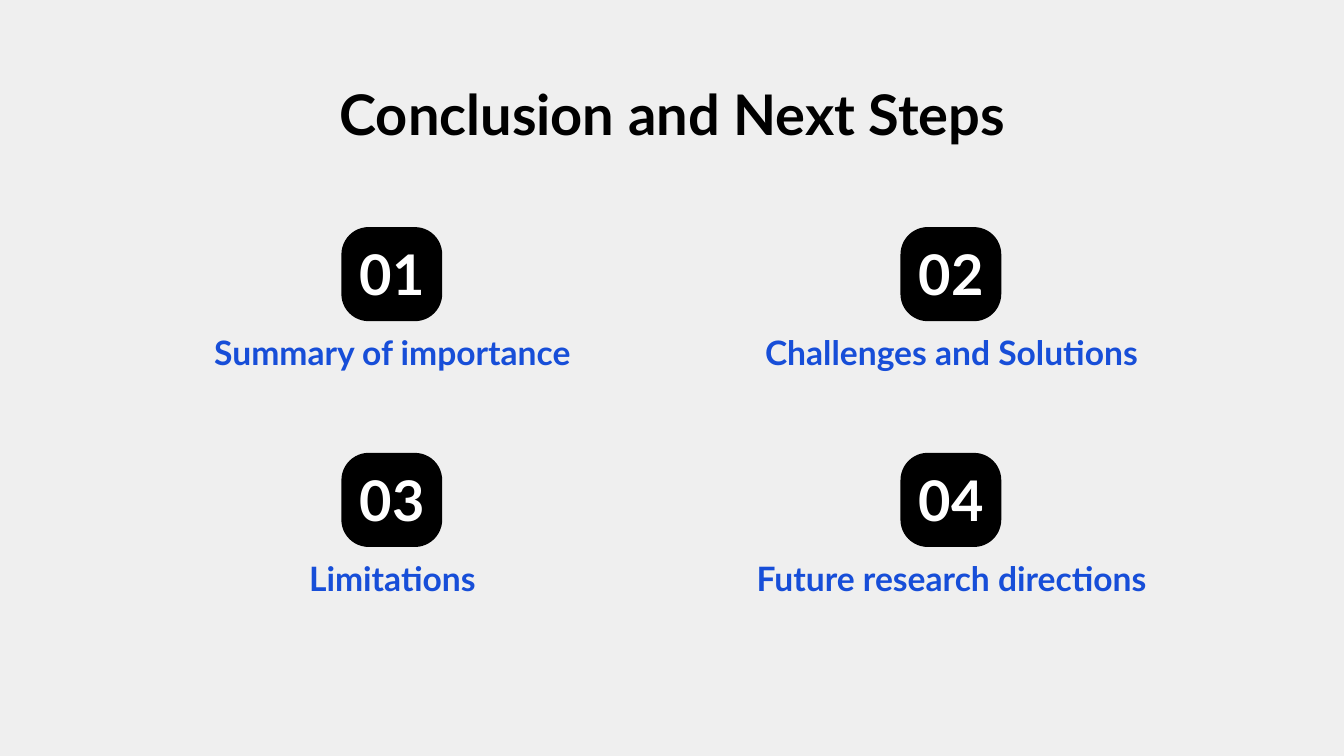
from pptx import Presentation
from pptx.dml.color import RGBColor
from pptx.enum.shapes import MSO_SHAPE
from pptx.enum.text import MSO_ANCHOR, PP_ALIGN
from pptx.util import Inches, Pt

BLACK, WHITE, BLUE, GREY = "000000", "FFFFFF", "174ED8", "EFEFEF"
STEPS = [
    "Summary of importance",
    "Challenges and Solutions",
    "Limitations",
    "Future research directions",
]
COLUMN_LEFT, COLUMN_STEP = 1.17, 4.16
ROW_TOP, ROW_STEP = 1.69, 1.68
STEP_WIDTH, STEP_HEIGHT = 3.5, 1.18


def color(value):
    """Turn a hex string into a colour."""
    return RGBColor.from_string(value)


def add_text(page, box, text, size, ink, anchor=MSO_ANCHOR.TOP):
    """Place one centred bold line of text in the box."""
    frame = page.shapes.add_textbox(*map(Inches, box)).text_frame
    frame_format = {"word_wrap": True, "vertical_anchor": anchor}
    for side in ("left", "right", "top", "bottom"):
        frame_format[f"margin_{side}"] = Inches(0.1)
    for name, value in frame_format.items():
        setattr(frame, name, value)
    para = frame.paragraphs[0]
    para.alignment = PP_ALIGN.CENTER
    span = para.add_run()
    span.text = text
    for name, value in {"name": "Lato", "size": Pt(size), "bold": True}.items():
        setattr(span.font, name, value)
    span.font.color.rgb = color(ink)


def add_badge(page, box):
    """Draw the black rounded badge behind a number."""
    badge = page.shapes.add_shape(MSO_SHAPE.ROUNDED_RECTANGLE, *map(Inches, box))
    badge.adjustments[0] = 0.29
    badge.shadow.inherit = False
    badge.fill.solid()
    badge.fill.fore_color.rgb = color(BLACK)
    badge.line.fill.background()


def add_step(page, box, number, label):
    """Place a numbered badge with its label below it."""
    left, top, width, height = box
    middle = left + width / 2
    add_badge(page, (middle - 0.38, top, 0.75, 0.7))
    add_text(page, (middle - 0.4, top + 0.1, 0.8, 0.49),
             f"{number:02}", 30, WHITE, MSO_ANCHOR.MIDDLE)
    add_text(page, (left, top + height - 0.5, width, 0.5), label, 18, BLUE)


def build_slide(deck):
    """Add the closing slide with its title and grid of steps."""
    page = deck.slides.add_slide(deck.slide_layouts[6])
    page.background.fill.solid()
    page.background.fill.fore_color.rgb = color(GREY)
    add_text(page, (0.79, 0.49, 8.43, 0.63), "Conclusion and Next Steps", 30, BLACK)
    for index, label in enumerate(STEPS):
        row, column = divmod(index, 2)
        box = (COLUMN_LEFT + column * COLUMN_STEP, ROW_TOP + row * ROW_STEP,
               STEP_WIDTH, STEP_HEIGHT)
        add_step(page, box, index + 1, label)


def main():
    """Build and save the deck."""
    deck = Presentation()
    deck.slide_width = Inches(10)
    deck.slide_height = deck.slide_width * 9 // 16
    build_slide(deck)
    deck.save("out.pptx")


if __name__ == "__main__":
    main()
